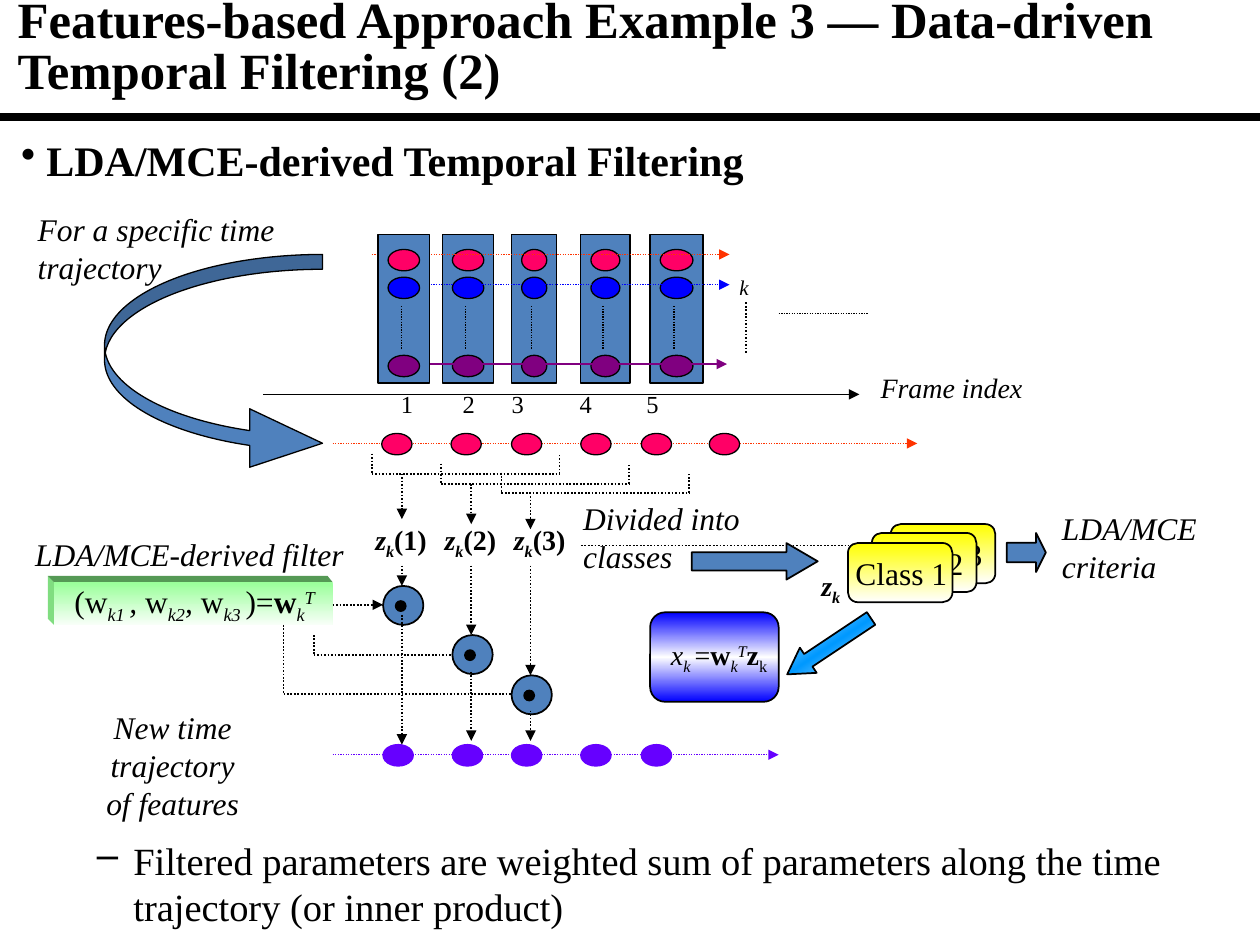
from dataclasses import dataclass
from itertools import pairwise

from lxml.etree import SubElement
from pptx import Presentation
from pptx.dml.color import RGBColor
from pptx.enum.dml import MSO_LINE
from pptx.enum.shapes import MSO_CONNECTOR, MSO_SHAPE
from pptx.enum.text import MSO_ANCHOR, MSO_AUTO_SIZE, PP_ALIGN
from pptx.oxml.ns import qn
from pptx.util import Inches, Pt


@dataclass(frozen=True)
class Theme:
    """Colours, type sizes and line widths of the slide."""
    font: str = "Times New Roman"
    black: str = "000000"
    white: str = "FFFFFF"
    steel: str = "4F81BD"
    pink: str = "FF0066"
    blue: str = "0000FF"
    purple: str = "800080"
    violet: str = "6600FF"
    orange: str = "FF3300"
    yellow: str = "FFFF00"
    sky: str = "0099FF"
    green: str = "99FF99"
    pale_green: str = "F8FFF8"
    edge_green: str = "80DD80"
    dark_green: str = "559955"
    title: int = 29
    heading: int = 24
    body: int = 22
    label: int = 18
    symbol: int = 16
    number: int = 14
    small: int = 12
    thin: float = 0.75
    line: float = 1


T = Theme()
OVAL = MSO_SHAPE.FLOWCHART_CONNECTOR
VECTOR = [("z", "bi"), ("k", "bi_")]


def box(x, y, w, h):
    """Return a position and size as lengths."""
    return [Inches(v) for v in (x, y, w, h)]


def write(tf, runs, size, align=PP_ALIGN.LEFT):
    """Add styled runs; the marks b, i, _ and ^ set bold, italic, sub and superscript."""
    p = tf.paragraphs[0]
    p.alignment = align
    for text, marks in runs:
        for n, part in enumerate(text.split("\n")):
            if n:
                p.add_line_break()
            r = p.add_run()
            r.text = part
            r.font.name, r.font.size = T.font, Pt(size)
            r.font.bold, r.font.italic = "b" in marks, "i" in marks
            r.font.color.rgb = RGBColor.from_string(T.black)
            if "_" in marks or "^" in marks:
                r.font._rPr.set("baseline", "-25000" if "_" in marks else "30000")
    return p


def label(s, at, runs, size, align=PP_ALIGN.LEFT, wrap=False):
    """Add a text box and return its paragraph."""
    tf = s.shapes.add_textbox(*box(*at)).text_frame
    tf.word_wrap = wrap
    return write(tf, runs, size, align)


def bullet(p, char, indent):
    """Give a paragraph a hanging bullet."""
    pPr = p._p.get_or_add_pPr()
    pPr.set("marL", str(Inches(indent)))
    pPr.set("indent", str(-Inches(indent)))
    SubElement(pPr, qn("a:buChar")).set("char", char)


def paint(sp, fill, line=T.black, width=T.line):
    """Fill a shape with a colour or a list of vertical gradient stops, and outline it."""
    sp.shadow.inherit = False
    if isinstance(fill, str):
        sp.fill.solid()
        sp.fill.fore_color.rgb = RGBColor.from_string(fill)
    else:
        sp.fill.gradient()
        grad = sp._element.spPr.find(qn("a:gradFill"))
        stops = grad.find(qn("a:gsLst"))
        for old in list(stops):
            stops.remove(old)
        for n, colour in enumerate(fill):
            gs = SubElement(stops, qn("a:gs"), pos=str(100000 * n // (len(fill) - 1)))
            SubElement(gs, qn("a:srgbClr"), val=colour)
        grad.find(qn("a:lin")).set("ang", "5400000")
    if line:
        sp.line.color.rgb = RGBColor.from_string(line)
        sp.line.width = Pt(width)
    else:
        sp.line.fill.background()


def shape(s, kind, at, fill, line=T.black, width=T.line, adj=()):
    """Add a preset shape."""
    sp = s.shapes.add_shape(kind, *box(*at))
    paint(sp, fill, line, width)
    for n, value in enumerate(adj):
        sp.adjustments[n] = value
    return sp


def caption(sp, runs, size, align=PP_ALIGN.CENTER):
    """Write inside a shape."""
    tf = sp.text_frame
    tf.word_wrap = False
    tf.vertical_anchor = MSO_ANCHOR.MIDDLE
    tf.margin_right = Inches(0.08)
    write(tf, runs, size, align)


def line(s, start, end, colour=T.black, width=T.line, dotted=True, arrow=False):
    """Add a straight line, dotted unless told otherwise."""
    c = s.shapes.add_connector(MSO_CONNECTOR.STRAIGHT, *[Inches(v) for v in (*start, *end)])
    c.line.color.rgb = RGBColor.from_string(colour)
    c.line.width = Pt(width)
    if dotted:
        c.line.dash_style = MSO_LINE.ROUND_DOT
    if arrow:
        SubElement(c.line._get_or_add_ln(), qn("a:tailEnd")).set("type", "triangle")
    SubElement(c._element.spPr, qn("a:effectLst"))


def polyline(s, *points):
    """Join points with dotted lines."""
    for start, end in pairwise(points):
        line(s, start, end)


def facet(s, points, fill):
    """Add one side of the raised filter bar."""
    fb = s.shapes.build_freeform(Inches(points[0][0]), Inches(points[0][1]))
    fb.add_line_segments([(Inches(x), Inches(y)) for x, y in points[1:]])
    paint(fb.convert_to_shape(), fill, None)


def frame(s, x, w):
    """Add one feature vector."""
    shape(s, MSO_SHAPE.RECTANGLE, (x, 1.86, w, 1.18), T.steel, width=T.thin)
    for y, colour in ((1.98, T.pink), (2.2, T.blue), (2.82, T.purple)):
        shape(s, OVAL, (x + 0.08, y, w - 0.16, 0.17), colour, width=T.thin)
    mid = x + w / 2 - 0.02
    line(s, (mid, 2.43), (mid, 2.77), width=T.thin)


def trajectory(s, y, end, colour, xs, fill, outline):
    """Add a dotted time axis with its features."""
    line(s, (2.64, y), (end, y), colour, T.thin, arrow=True)
    for x in xs:
        shape(s, OVAL, (x, y - 0.08, 0.24, 0.17), fill, outline, T.thin)


def headings(s):
    """Add the title, its rule and the bullets."""
    title = s.shapes.title
    title.left, title.top, title.width, title.height = box(0.04, -0.01, 9.96, 0.79)
    tf = title.text_frame
    tf.auto_size, tf.vertical_anchor = MSO_AUTO_SIZE.NONE, MSO_ANCHOR.MIDDLE
    p = write(tf, [("Features-based Approach Example 3 ― Data-driven Temporal Filtering (2)", "b")], T.title)
    p.line_spacing = 0.85
    line(s, (0, 0.93), (10, 0.93), width=4.5, dotted=False)
    bullet(label(s, (0.07, 1.02, 9.57, 0.53), [("LDA/MCE-derived Temporal Filtering", "b")],
                 T.heading, wrap=True), "•", 0.2)
    bullet(label(s, (0.67, 6.59, 9.33, 0.83),
                 [("Filtered parameters are weighted sum of parameters along the time "
                   "trajectory (or inner product)", "")], T.body, wrap=True), "–", 0.29)


def frames(s):
    """Add the feature vectors along the frame index."""
    for x, w in ((3.51, 0.41), (4.06, 0.36), (4.61, 0.39), (5.16, 0.42)):
        frame(s, x, w)
    line(s, (2.09, 3.13), (6.82, 3.13), width=T.thin, dotted=False, arrow=True)
    line(s, (6.18, 2.49), (6.89, 2.49), width=T.thin)
    line(s, (2.95, 2.02), (5.79, 2.02), T.orange, T.thin, arrow=True)
    line(s, (3.03, 2.26), (5.79, 2.26), T.blue, T.thin, arrow=True)
    line(s, (3.19, 2.89), (5.77, 2.89), T.purple, T.thin, dotted=False, arrow=True)
    frame(s, 3, 0.41)
    for n, x in enumerate((3.23, 3.72, 4.11, 4.65, 5.18), 1):
        label(s, (x - 0.15, 3.04, 0.3, 0.33), [(str(n), "")], T.number, PP_ALIGN.CENTER)
    line(s, (5.92, 2.4), (5.92, 2.8))


def filtering(s):
    """Add the windows, the filter and the products."""
    trajectory(s, 3.52, 7.28, T.orange, (3.03, 3.58, 4.06, 4.61, 5.09, 5.63), T.pink, T.black)
    shape(s, MSO_SHAPE.CURVED_RIGHT_ARROW, (0.83, 2.02, 1.73, 1.73), T.steel,
          width=T.thin, adj=(0.068, 0.268, 0.334))
    trajectory(s, 5.99, 6.18, T.violet, (3.04, 3.59, 4.06, 4.61, 5.09), T.violet, T.violet)
    facet(s, [(0.38, 4.57), (0.43, 4.62), (0.43, 4.96), (0.38, 4.91)], T.edge_green)
    facet(s, [(0.38, 4.57), (2.6, 4.57), (2.64, 4.62), (0.43, 4.62)], T.dark_green)
    bar = shape(s, MSO_SHAPE.RECTANGLE, (0.43, 4.62, 2.21, 0.34), [T.green, T.pale_green], None)
    caption(bar, [("(w", ""), ("k1 ", "i_"), (",", "i"), (" w", ""), ("k2", "i_"), (", ", "i"),
                  ("w", ""), ("k3 ", "i_"), (")=", ""), ("w", "b"), ("k", "i_"), ("T", "i^")], T.label)
    line(s, (2.64, 4.8), (3.04, 4.8), arrow=True)
    polyline(s, (2.49, 5.04), (2.49, 5.2), (3.74, 5.2))
    polyline(s, (2.25, 4.96), (2.25, 5.51), (4.06, 5.51))
    windows = ((2.95, 3.6, 3.19, 4.12, 3.04, 4.65, 4.88, 5.91),
               (3.5, 3.68, 3.74, 4.16, 3.59, 5.04, 5.33, 5.88),
               (3.98, 3.75, 4.21, 4.2, 4.06, 5.36, 5.64, 5.88))
    for n, (x, y, mid, tip, left, top, out, end) in enumerate(windows):
        low = y + 0.16
        polyline(s, (x, y), (x, low), (x + 1.49, low), (x + 1.49, y))
        line(s, (mid, low), (mid, tip), arrow=True)
        label(s, (2.88 + 0.55 * n, 4.1, 0.62, 0.37), VECTOR + [(f"({n + 1})", "b")], T.symbol)
        line(s, (mid, 4.49), (mid, top), arrow=True)
        shape(s, OVAL, (left, top, 0.32, 0.31), T.steel)
        shape(s, OVAL, (left + 0.1, top + 0.12, 0.08, 0.08), T.black)
        line(s, (mid, out), (mid, end), arrow=True)


def classes(s):
    """Add the class cards, the formula and their arrows."""
    line(s, (4.61, 4.33), (6.74, 4.33))
    shape(s, MSO_SHAPE.RIGHT_ARROW, (5.49, 4.31, 1, 0.29), T.steel, adj=(0.5, 0.855))
    for x, y, text, align in ((7.07, 4.16, "3", PP_ALIGN.RIGHT), (6.92, 4.23, "2", PP_ALIGN.RIGHT),
                              (6.73, 4.31, "Class 1", PP_ALIGN.CENTER)):
        card = shape(s, MSO_SHAPE.ROUNDED_RECTANGLE, (x, y, 0.83, 0.47), [T.yellow, T.white])
        caption(card, [(text, "")], T.label, align)
    label(s, (6.42, 4.46, 0.36, 0.37), VECTOR, T.symbol)
    formula = shape(s, MSO_SHAPE.ROUNDED_RECTANGLE, (5.16, 4.86, 1.02, 0.71), [T.blue, T.white, T.blue])
    caption(formula, [(" ", ""), ("x", "i"), ("k ", "i_"), ("=", ""), ("w", "b"), ("k", "i_"),
                      ("T", "i^"), ("z", "b"), ("k", "_")], T.symbol)
    arrow = shape(s, MSO_SHAPE.RIGHT_ARROW, (6.18, 5.01, 0.8, 0.24), [T.white, T.sky, T.white], adj=(0.5, 0.836))
    arrow.rotation = 146.3
    shape(s, MSO_SHAPE.RIGHT_ARROW, (7.99, 4.23, 0.31, 0.31), T.steel, adj=(0.5, 0.25))


def notes(s):
    """Add the italic labels around the diagram."""
    for at, text, size, align, wrap in (
            ((0.2, 1.62, 2.08, 0.7), "For a specific time\ntrajectory", T.label, PP_ALIGN.LEFT, False),
            ((5.77, 2.13, 0.27, 0.3), "k", T.small, PP_ALIGN.LEFT, False),
            ((6.89, 2.89, 1.33, 0.37), "Frame index", T.symbol, PP_ALIGN.LEFT, False),
            ((0.28, 5.57, 2.18, 0.7), "New time trajectory\nof features", T.label, PP_ALIGN.CENTER, False),
            ((0.18, 4.2, 2.78, 0.4), "LDA/MCE-derived filter", T.label, PP_ALIGN.LEFT, True),
            ((4.53, 3.91, 2.21, 0.4), "Divided into classes", T.label, PP_ALIGN.LEFT, False),
            ((8.33, 3.99, 1.32, 0.7), "LDA/MCE criteria", T.label, PP_ALIGN.LEFT, True)):
        label(s, at, [(text, "i")], size, align, wrap)


def main():
    """Build and save the slide."""
    prs = Presentation()
    prs.slide_width, prs.slide_height = Inches(10), Inches(7.5)
    s = prs.slides.add_slide(prs.slide_layouts[5])
    for part in (headings, frames, filtering, classes, notes):
        part(s)
    prs.save("out.pptx")


if __name__ == "__main__":
    main()
